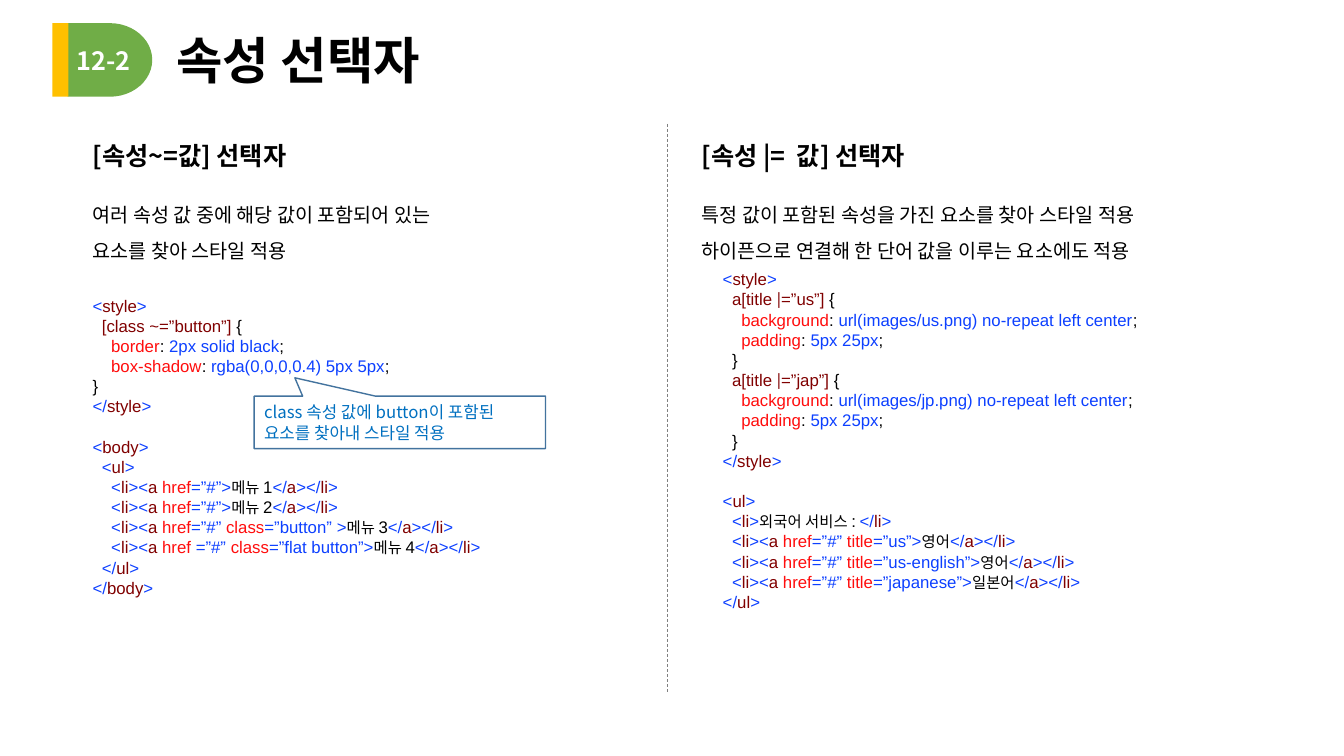
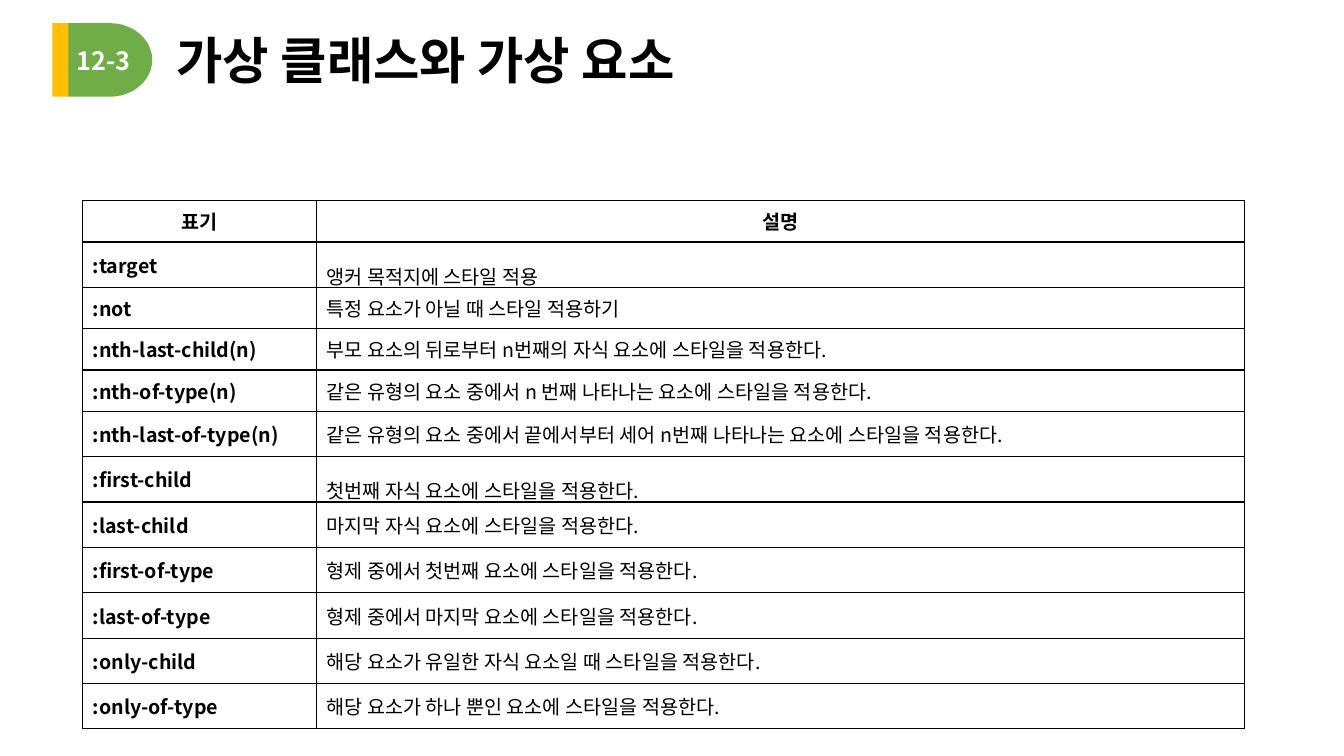
from itertools import groupby

from lxml.etree import SubElement
from pptx import Presentation
from pptx.dml.color import RGBColor
from pptx.enum.dml import MSO_LINE
from pptx.enum.shapes import MSO_CONNECTOR, MSO_SHAPE
from pptx.enum.text import MSO_ANCHOR, MSO_AUTO_SIZE, PP_ALIGN
from pptx.oxml.ns import qn
from pptx.util import Emu, Pt

# Style
PX = 9144  # 100 px to the inch
SANS, NOTO, BODY, LATO = "Arial", "Noto Sans CJK KR", "Calibri", "Lato"
BLACK = RGBColor(0x00, 0x00, 0x00)
WHITE = RGBColor(0xFF, 0xFF, 0xFF)
GREEN = RGBColor(0x70, 0xAD, 0x47)
AMBER = RGBColor(0xFF, 0xC0, 0x00)
GRAY = RGBColor(0x7F, 0x7F, 0x7F)
STEEL = RGBColor(0x43, 0x73, 0x9E)
SKY = RGBColor(0x00, 0x70, 0xC0)
CODE_BLUE = RGBColor(0x0D, 0x40, 0xFF)
CODE_BROWN = RGBColor(0x80, 0x00, 0x00)
CODE_RED = RGBColor(0xFF, 0x0D, 0x0D)

# Content
CONTAINS_CODE = """\
<style>
  [class ~=”button”] {
    border: 2px solid black;
    box-shadow: rgba(0,0,0,0.4) 5px 5px;
}
</style>

<body>
  <ul>
    <li><a href=”#”>메뉴 1</a></li>
    <li><a href=”#”>메뉴 2</a></li>
    <li><a href=”#” class=”button” >메뉴 3</a></li>
    <li><a href =”#” class=”flat button”>메뉴 4</a></li>
  </ul>
</body>"""
HYPHEN_CODE = """\
<style>
  a[title |=”us”] {
    background: url(images/us.png) no-repeat left center;
    padding: 5px 25px;
  }
  a[title |=”jap”] {
    background: url(images/jp.png) no-repeat left center;
    padding: 5px 25px;
  }
</style>

<ul>
  <li>외국어 서비스 : </li>
  <li><a href=”#” title=”us”>영어</a></li>
  <li><a href=”#” title=”us-english”>영어</a></li>
  <li><a href=”#” title=”japanese”>일본어</a></li>
</ul>"""
PSEUDO_CLASSES = [
    ("표기", "설명"),
    (":target", "앵커 목적지에 스타일 적용"),
    (":not", "특정 요소가 아닐 때 스타일 적용하기"),
    (":nth-last-child(n)", "부모 요소의 뒤로부터 n번째의 자식 요소에 스타일을 적용한다."),
    (":nth-of-type(n)", "같은 유형의 요소 중에서 n 번째 나타나는 요소에 스타일을 적용한다."),
    (":nth-last-of-type(n)",
     "같은 유형의 요소 중에서 끝에서부터 세어 n번째 나타나는 요소에 스타일을 적용한다."),
    (":first-child", "첫번째 자식 요소에 스타일을 적용한다."),
    (":last-child", "마지막 자식 요소에 스타일을 적용한다."),
    (":first-of-type", "형제 중에서 첫번째 요소에 스타일을 적용한다."),
    (":last-of-type", "형제 중에서 마지막 요소에 스타일을 적용한다."),
    (":only-child", "해당 요소가 유일한 자식 요소일 때 스타일을 적용한다."),
    (":only-of-type", "해당 요소가 하나 뿐인 요소에 스타일을 적용한다."),
]
LOOSE_ROWS = (":target", ":first-child")


# Syntax colouring: each run is a text with its own format
def css_runs(line):
    if "{" in line:
        for is_bar, chars in groupby(line[:-1], lambda c: c == "|"):
            yield "".join(chars), dict(color=CODE_BROWN, font=LATO if is_bar else SANS)
        yield "{", {}
    elif ": " in line:
        name, colon, value = line.partition(": ")
        yield name, dict(color=CODE_RED)
        yield colon, {}
        yield value.rstrip(";"), dict(color=CODE_BLUE)
        yield ";", {}
    else:
        yield line, {}


def html_runs(line):
    blue = dict(color=CODE_BLUE)
    indent, *chunks = line.split("<")
    yield indent, blue
    for chunk in chunks:
        tag, close, content = chunk.partition(">")
        yield "</" if tag.startswith("/") else "<", blue
        name, gap, attributes = tag.lstrip("/").partition(" ")
        yield name + gap, dict(color=CODE_BROWN)
        for i, piece in enumerate(attributes.split("”")):
            if i % 2:
                yield f"”{piece}”", blue
            else:
                attribute, equals, _ = piece.partition("=")
                yield attribute, dict(color=CODE_RED)
                yield equals, blue
        yield close, blue
        for latin, chars in groupby(content, lambda c: c.isascii() and c != " "):
            yield "".join(chars), {} if latin else dict(font=BODY, size=11)


def format_run(run, font=SANS, size=12, color=BLACK, bold=False):
    run.font.name, run.font.size, run.font.bold = font, Pt(size), bold
    run.font.color.rgb = color
    if font == NOTO:
        SubElement(run._r.get_or_add_rPr(), qn("a:ea")).set("typeface", font)


def write(frame, lines, align=PP_ALIGN.LEFT, spacing=None, **style):
    """Fill a frame; a line is a string or a list of (text, format) runs.

    An empty line becomes space before the next paragraph.
    """
    frame.word_wrap = True
    gap = 0
    paragraph = None
    for line in lines:
        if not line:
            gap = 14.4
            continue
        paragraph = frame.add_paragraph() if paragraph else frame.paragraphs[0]
        paragraph.alignment = align
        if spacing:
            paragraph.line_spacing = spacing
        if gap:
            paragraph.space_before = Pt(gap)
        gap = 0
        for text, own in [(line, {})] if isinstance(line, str) else line:
            if text:
                run = paragraph.add_run()
                run.text = text
                format_run(run, **{**style, **own})


class Deck:
    def __init__(self):
        self.prs = Presentation()
        self.prs.slide_width, self.prs.slide_height = Emu(1333 * PX), Emu(750 * PX)
        self.slide = None

    @staticmethod
    def px(*lengths):
        return [Emu(length * PX) for length in lengths]

    def new_slide(self, number, heading):
        self.slide = self.prs.slides.add_slide(self.prs.slide_layouts[5])
        self.shape(MSO_SHAPE.FLOWCHART_DELAY, 67, 23, 84, 73, GREEN)
        self.shape(MSO_SHAPE.RECTANGLE, 52, 23, 16, 73, AMBER)
        title = self.slide.shapes.title
        title.left, title.top, title.width, title.height = self.px(165, 26, 994, 73)
        title.text_frame.auto_size = MSO_AUTO_SIZE.NONE
        title.text_frame.vertical_anchor = MSO_ANCHOR.MIDDLE
        write(title.text_frame, [heading], spacing=0.9, size=36, bold=True)
        self.text(66, 40, 80, 40, [number], font=NOTO, size=18, color=WHITE, bold=True)

    def shape(self, kind, x, y, w, h, fill, line=None):
        shape = self.slide.shapes.add_shape(kind, *self.px(x, y, w, h))
        shape.shadow.inherit = False
        shape.fill.solid()
        shape.fill.fore_color.rgb = fill
        if line:
            shape.line.color.rgb, shape.line.width = line, Pt(1)
        else:
            shape.line.fill.background()
        return shape

    def text(self, x, y, w, h, lines, **style):
        box = self.slide.shapes.add_textbox(*self.px(x, y, w, h))
        write(box.text_frame, lines, **style)

    def section(self, x, w, heading, description):
        self.text(x, 134, 301, 40, [heading], font=NOTO, size=18, bold=True)
        self.text(x, 185, w, 81, description, size=14, spacing=1.5)

    def code(self, x, y, w, h, source):
        lines = [list(html_runs(line) if "<" in line else css_runs(line)) if line else ""
                 for line in source.splitlines()]
        self.text(x, y, w, h, lines, spacing=Pt(14.4))

    def callout(self, x, y, w, h, tip, message):
        bubble = self.shape(MSO_SHAPE.RECTANGULAR_CALLOUT, x, y, w, h, WHITE, STEEL)
        bubble.adjustments[0], bubble.adjustments[1] = tip
        bubble.text_frame.vertical_anchor = MSO_ANCHOR.MIDDLE
        write(bubble.text_frame, [message], font=NOTO, color=SKY)

    def divider(self, x, top, bottom):
        line = self.slide.shapes.add_connector(
            MSO_CONNECTOR.STRAIGHT, *self.px(x, top, x, bottom))
        line.line.color.rgb, line.line.width = GRAY, Pt(0.5)
        line.line.dash_style = MSO_LINE.DASH
        SubElement(line._element.spPr, qn("a:effectLst"))

    def table(self, x, y, widths, heights, rows):
        table = self.slide.shapes.add_table(
            len(rows), len(widths), *self.px(x, y, sum(widths), sum(heights))).table
        table.first_row = table.horz_banding = False
        for column, width in zip(table.columns, widths):
            column.width = Emu(width * PX)
        for r, (row, height) in enumerate(zip(rows, heights)):
            table.rows[r].height = Emu(height * PX)
            for c, content in enumerate(row):
                cell = table.cell(r, c)
                cell.vertical_anchor = MSO_ANCHOR.MIDDLE
                self.borders(cell)
                cell.fill.background()
                write(cell.text_frame, [content], font=NOTO, size=14,
                      bold=r == 0 or c == 0,
                      align=PP_ALIGN.LEFT if r else PP_ALIGN.CENTER,
                      spacing=1.5 if c and row[0] in LOOSE_ROWS else None)

    @staticmethod
    def borders(cell):
        for side in ("a:lnL", "a:lnR", "a:lnT", "a:lnB"):
            edge = SubElement(cell._tc.get_or_add_tcPr(), qn(side), w=str(Pt(1)))
            fill = SubElement(edge, qn("a:solidFill"))
            SubElement(fill, qn("a:srgbClr"), val=str(BLACK))


def main():
    deck = Deck()

    # Attribute selectors
    deck.new_slide("12-2", "속성 선택자")
    deck.section(82, 423, "[속성~=값] 선택자",
                 ["여러 속성 값 중에 해당 값이 포함되어 있는", "요소를 찾아 스타일 적용"])
    deck.code(82, 288, 484, 313, CONTAINS_CODE)
    deck.callout(252, 393, 289, 52, (-0.36, -0.85),
                 "class 속성 값에 button이 포함된 요소를 찾아내 스타일 적용")
    deck.divider(662, 123, 688)
    deck.section(686, 555, "[속성 |=  값] 선택자",
                 ["특정 값이 포함된 속성을 가진 요소를 찾아 스타일 적용",
                  "하이픈으로 연결해 한 단어 값을 이루는 요소에도 적용"])
    deck.code(707, 262, 626, 353, HYPHEN_CODE)

    # Pseudo-classes
    deck.new_slide("12-3", "가상 클래스와 가상 요소")
    deck.table(82, 199, (232, 920), [41] * 5 + [45] * 7, PSEUDO_CLASSES)

    deck.prs.save("out.pptx")


if __name__ == "__main__":
    main()
